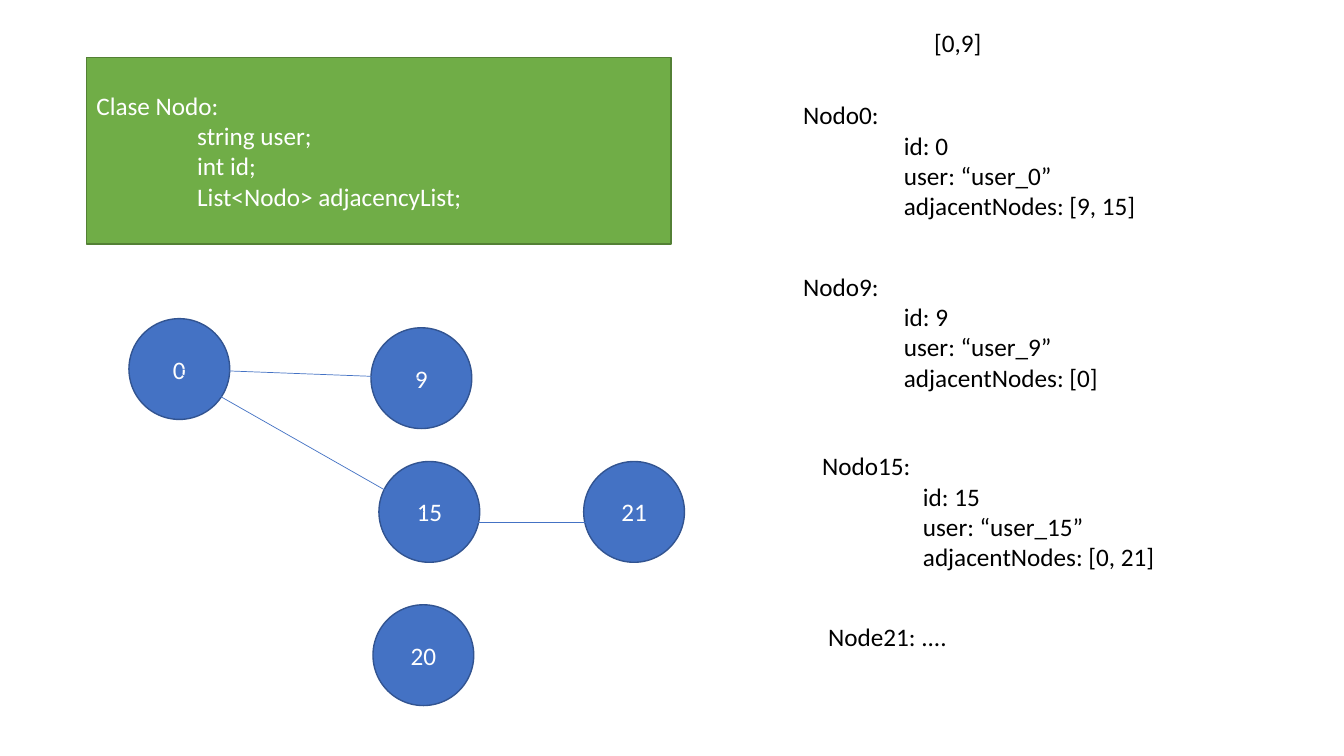
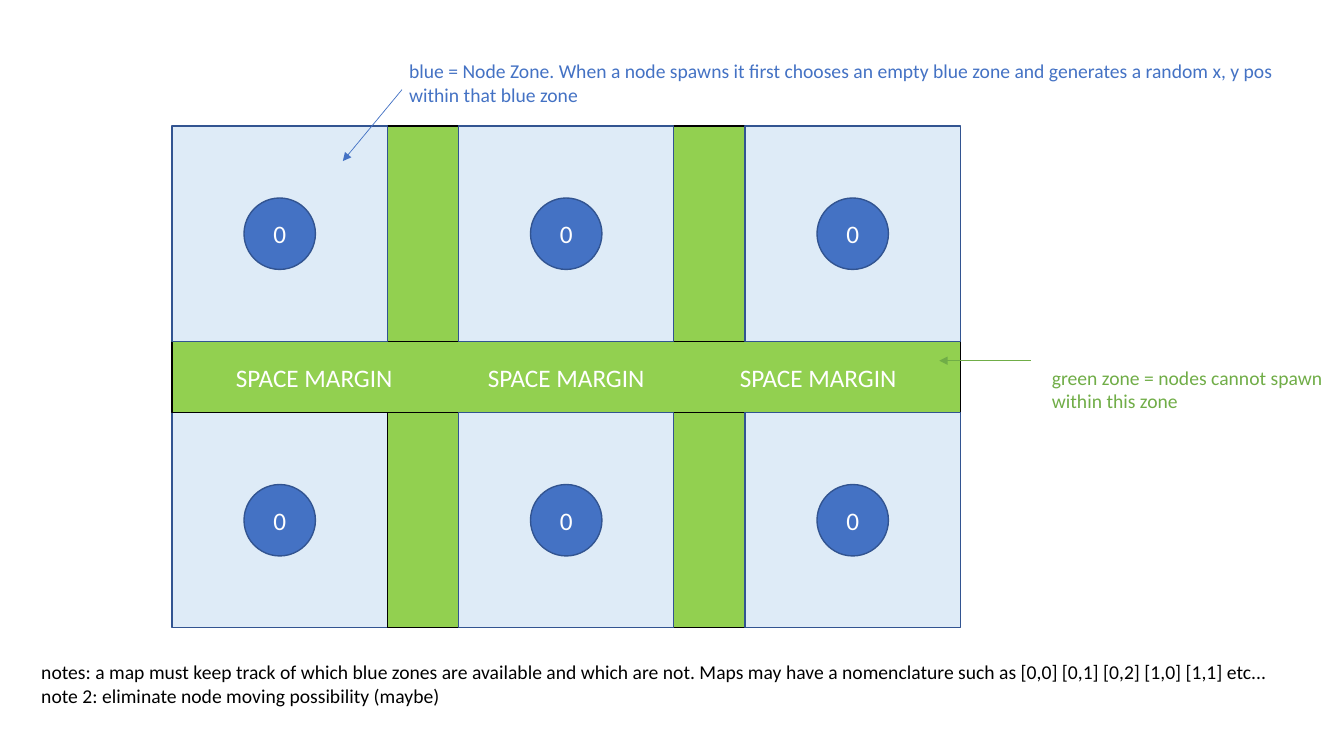
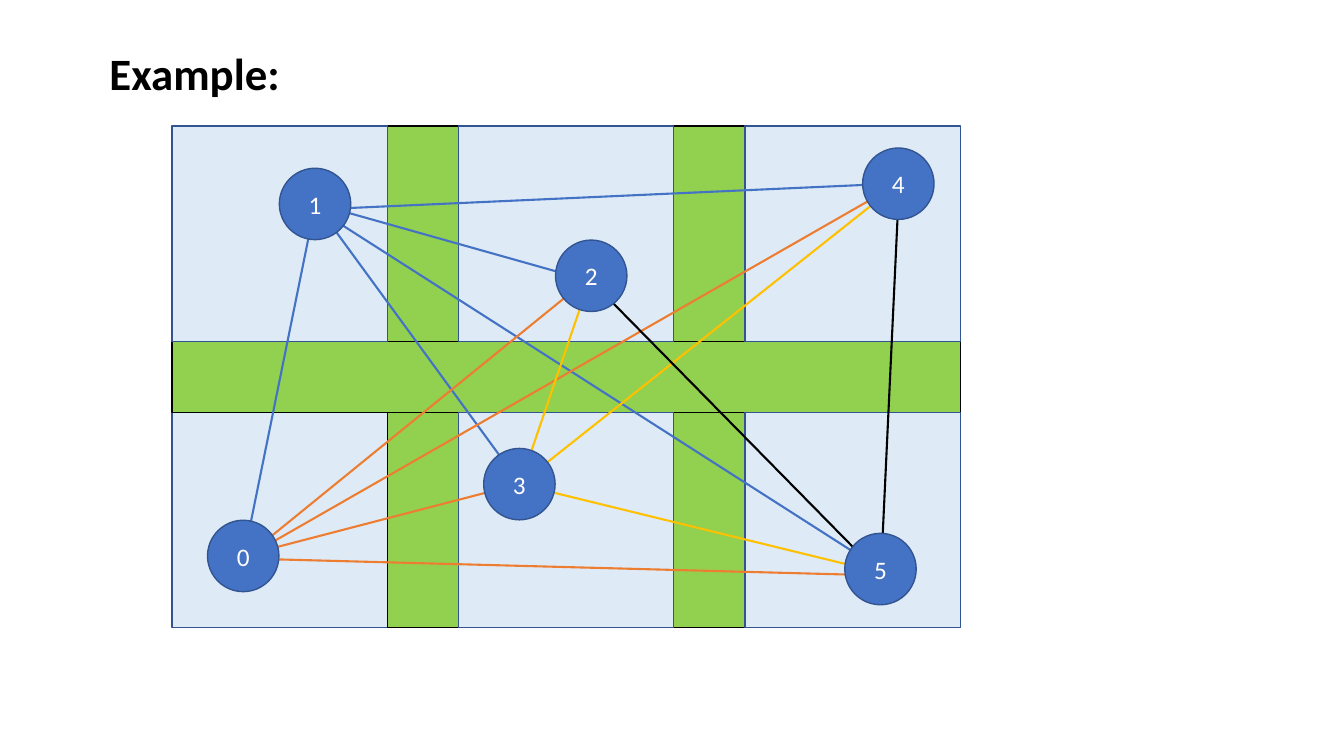
from dataclasses import dataclass

from lxml.etree import SubElement
from pptx import Presentation
from pptx.dml.color import RGBColor
from pptx.enum.shapes import MSO_CONNECTOR, MSO_SHAPE
from pptx.enum.text import MSO_ANCHOR, PP_ALIGN
from pptx.oxml.ns import qn
from pptx.shapes.autoshape import Shape
from pptx.slide import Slide
from pptx.text.text import TextFrame
from pptx.util import Cm, Pt

FONT = "Calibri"
BLACK, WHITE = "000000", "FFFFFF"
BLUE, DARK_BLUE, PALE_BLUE = "4472C4", "325491", "DEEBF7"
GREEN, DARK_GREEN, LIME = "70AD47", "538035", "92D050"
ORANGE, GOLD = "ED7D31", "FFC000"

# The map: three columns and two rows of zones, parted by margins (cm).
MAP_LEFT, MAP_TOP = 4.34, 3.18
ZONE, MARGIN = 5.42, 1.8
PITCH = ZONE + MARGIN
COLUMNS, ROWS = 3, 2
MAP_WIDTH = COLUMNS * PITCH - MARGIN
MAP_HEIGHT = ROWS * PITCH - MARGIN
BIG_NODE, SMALL_NODE = 2.54, 1.8
MEMBER_INDENT = 2.54


@dataclass(frozen=True)
class Box:
    """Place and size in centimetres."""
    left: float
    top: float
    width: float
    height: float


@dataclass(frozen=True)
class Node:
    label: str
    left: float
    top: float


@dataclass(frozen=True)
class Edge:
    x1: float
    y1: float
    x2: float
    y2: float
    color: str = BLUE


@dataclass(frozen=True)
class Label:
    """Lines of text; those after the first can be indented as members."""
    box: Box
    lines: tuple[str, ...]
    size: float = 18
    color: str = BLACK
    bold: bool = False
    members: bool = False


CLASS_BOX = Box(2.18, 1.45, 14.73, 4.7)
CLASS_LINES = ("Clase Nodo:", "string user;", "int id;", "List<Nodo> adjacencyList;")

GRAPH_NODES = (
    Node("0", 3.25, 8.03),
    Node("9", 9.35, 8.26),
    Node("15", 9.55, 11.63),
    Node("20", 9.4, 15.24),
    Node("21", 14.71, 11.63),
)
GRAPH_EDGES = (
    Edge(4.52, 9.3, 10.62, 9.53),
    Edge(4.52, 9.4, 10.67, 12.9),
    Edge(10.82, 13.16, 15.98, 13.16),
)
GRAPH_LABELS = (
    Label(Box(23.29, 0.56, 1.8, 1.02), ("[0,9]",)),
    Label(Box(19.99, 2.39, 8.97, 3.33),
          ("Nodo0:", "id: 0", "user: “user_0”", "adjacentNodes: [9, 15]"), members=True),
    Label(Box(19.99, 6.71, 8.03, 3.33),
          ("Nodo9:", "id: 9", "user: “user_9”", "adjacentNodes: [0]"), members=True),
    Label(Box(20.47, 11.23, 8.97, 3.33),
          ("Nodo15:", "id: 15", "user: “user_15”", "adjacentNodes: [0, 21]"), members=True),
    Label(Box(20.62, 15.52, 3.6, 1.02), ("Node21: ....",)),
)

ZONE_ARROWS = (
    Edge(10.13, 2.26, 8.64, 4.06),
    Edge(25.98, 9.09, 23.67, 9.09, GREEN),
)
ZONE_LABELS = (
    Label(Box(10.06, 1.37, 22.58, 1.45),
          ("blue = Node Zone. When a node spawns it first chooses an empty blue zone "
           "and generates a random x, y pos",
           "within that blue zone"), 14, BLUE),
    Label(Box(0.79, 16.51, 31.67, 2.06),
          ("notes: a map must keep track of which blue zones are available and which are not. "
           "Maps may have a nomenclature such as [0,0] [0,1] [0,2] [1,0] [1,1] etc...",
           "note 2: eliminate node moving possibility (maybe)"), 14),
    Label(Box(26.26, 9.09, 7.39, 1.45),
          ("green zone = nodes cannot spawn", "within this zone"), 14, GREEN),
)

EXAMPLE_TITLE = Label(Box(2.51, 1.04, 4.9, 1.63), ("Example:",), 32, bold=True)
EXAMPLE_EDGES = (
    Edge(7.95, 5.13, 6.15, 14),
    Edge(7.95, 5.13, 13.11, 12.19),
    Edge(7.95, 5.13, 14.91, 7.09),
    Edge(7.95, 5.28, 22.66, 4.62),
    Edge(7.9, 5.21, 22.2, 14.35),
    Edge(6.15, 14, 13.11, 12.19, ORANGE),
    Edge(6.15, 14.07, 14.96, 6.91, ORANGE),
    Edge(6.02, 14.07, 22.2, 14.5, ORANGE),
    Edge(6.15, 14.07, 22.66, 4.62, ORANGE),
    Edge(13.11, 12.19, 14.91, 6.91, GOLD),
    Edge(13.11, 12.19, 22.66, 4.62, GOLD),
    Edge(13.16, 12.22, 22.2, 14.43, GOLD),
    Edge(22.2, 14.43, 22.66, 4.62, BLACK),
    Edge(22.2, 14.5, 14.91, 7.09, BLACK),
)
EXAMPLE_NODES = (
    Node("1", 7.04, 4.24),
    Node("0", 5.23, 13.11),
    Node("3", 12.19, 11.3),
    Node("2", 14, 6.05),
    Node("4", 21.74, 3.73),
    Node("5", 21.29, 13.44),
)


def rgb(color: str) -> RGBColor:
    return RGBColor.from_string(color)


def lengths(box: Box) -> tuple[Cm, Cm, Cm, Cm]:
    return Cm(box.left), Cm(box.top), Cm(box.width), Cm(box.height)


def write(frame: TextFrame, lines: tuple[str, ...], size: float = 18, color: str = WHITE,
          bold: bool = False, align: PP_ALIGN = PP_ALIGN.LEFT, members: bool = False) -> None:
    frame.word_wrap = True
    for index, line in enumerate(lines):
        para = frame.add_paragraph() if index else frame.paragraphs[0]
        para.text = line
        para.alignment = align
        if members and index:
            para._p.get_or_add_pPr().set("marL", str(Cm(MEMBER_INDENT)))
        font = para.font
        font.name, font.size, font.bold = FONT, Pt(size), bold
        font.color.rgb = rgb(color)


def add_figure(page: Slide, kind: MSO_SHAPE, box: Box, fill: str, line: str) -> Shape:
    figure = page.shapes.add_shape(kind, *lengths(box))
    figure.shadow.inherit = False
    figure.fill.solid()
    figure.fill.fore_color.rgb = rgb(fill)
    figure.line.color.rgb = rgb(line)
    figure.line.width = Pt(1)
    figure.text_frame.vertical_anchor = MSO_ANCHOR.MIDDLE
    return figure


def add_node(page: Slide, node: Node, diameter: float) -> None:
    box = Box(node.left, node.top, diameter, diameter)
    circle = add_figure(page, MSO_SHAPE.OVAL, box, BLUE, DARK_BLUE)
    write(circle.text_frame, (node.label,), align=PP_ALIGN.CENTER)


def add_edge(page: Slide, edge: Edge, width: float = 0.5, arrow: bool = False) -> None:
    connector = page.shapes.add_connector(
        MSO_CONNECTOR.STRAIGHT, Cm(edge.x1), Cm(edge.y1), Cm(edge.x2), Cm(edge.y2))
    connector.line.color.rgb = rgb(edge.color)
    connector.line.width = Pt(width)
    if arrow:
        SubElement(connector.line._get_or_add_ln(), qn("a:tailEnd"), type="triangle")
    SubElement(connector._element.spPr, qn("a:effectLst"))


def add_label(page: Slide, label: Label) -> None:
    frame = page.shapes.add_textbox(*lengths(label.box)).text_frame
    write(frame, label.lines, label.size, label.color, label.bold, members=label.members)


def add_zone(page: Slide, row: int, column: int) -> None:
    box = Box(MAP_LEFT + column * PITCH, MAP_TOP + row * PITCH, ZONE, ZONE)
    add_figure(page, MSO_SHAPE.RECTANGLE, box, PALE_BLUE, DARK_BLUE)


def add_margin(page: Slide, box: Box) -> Shape:
    return add_figure(page, MSO_SHAPE.RECTANGLE, box, LIME, BLACK)


def add_map(page: Slide) -> Shape:
    """Draw zones and margins; return the horizontal margin."""
    left_margin, right_margin = (
        Box(MAP_LEFT + ZONE + column * PITCH, MAP_TOP, MARGIN, MAP_HEIGHT)
        for column in range(COLUMNS - 1))
    add_margin(page, right_margin)
    add_zone(page, 1, 0)  # lies under the two margins it touches
    add_margin(page, left_margin)
    middle = add_margin(page, Box(MAP_LEFT, MAP_TOP + ZONE, MAP_WIDTH, MARGIN))
    for row, column in ((1, 1), (1, 2), (0, 0), (0, 1), (0, 2)):
        add_zone(page, row, column)
    return middle


def build_graph(page: Slide) -> None:
    class_box = add_figure(page, MSO_SHAPE.RECTANGLE, CLASS_BOX, GREEN, DARK_GREEN)
    write(class_box.text_frame, CLASS_LINES, members=True)
    for node in GRAPH_NODES:
        add_node(page, node, BIG_NODE)
    for edge in GRAPH_EDGES:
        add_edge(page, edge)
    for label in GRAPH_LABELS:
        add_label(page, label)


def build_zones(page: Slide) -> None:
    middle = add_map(page)
    write(middle.text_frame, ("\t\t".join(["SPACE MARGIN"] * COLUMNS),), align=PP_ALIGN.CENTER)
    inset = (ZONE - SMALL_NODE) / 2
    for row in range(ROWS):
        for column in range(COLUMNS):
            node = Node("0", MAP_LEFT + column * PITCH + inset, MAP_TOP + row * PITCH + inset)
            add_node(page, node, SMALL_NODE)
    for arrow in ZONE_ARROWS:
        add_edge(page, arrow, arrow=True)
    for label in ZONE_LABELS:
        add_label(page, label)


def build_example(page: Slide) -> None:
    add_map(page)
    add_label(page, EXAMPLE_TITLE)
    for edge in EXAMPLE_EDGES:
        add_edge(page, edge, width=1.5)
    for node in EXAMPLE_NODES:
        add_node(page, node, SMALL_NODE)


def main() -> None:
    deck = Presentation()
    deck.slide_width, deck.slide_height = Cm(33.87), Cm(19.05)
    blank = deck.slide_layouts[6]
    for build in (build_graph, build_zones, build_example):
        build(deck.slides.add_slide(blank))
    deck.save("out.pptx")


if __name__ == "__main__":
    main()
